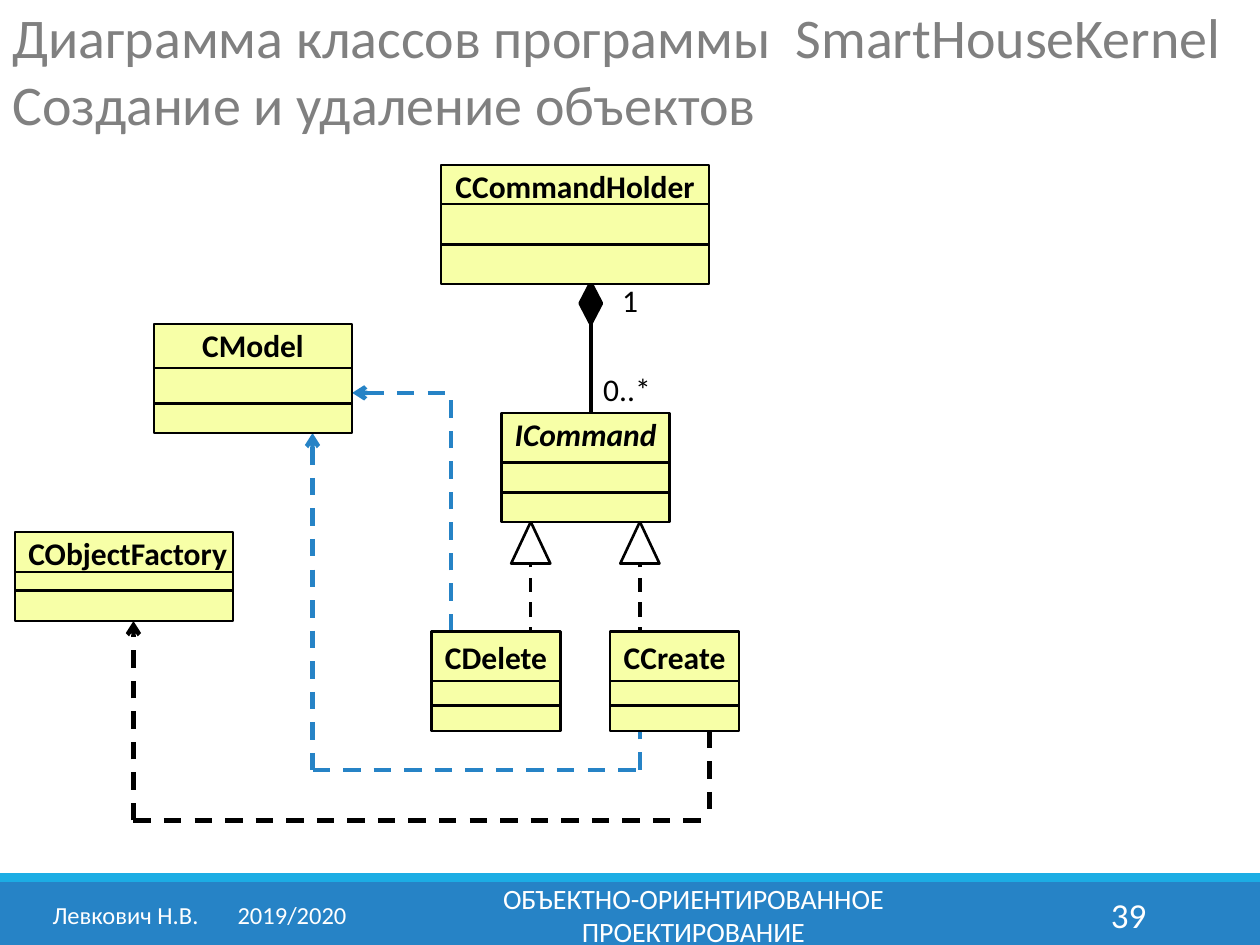
from lxml import etree
from pptx import Presentation
from pptx.dml.color import RGBColor
from pptx.enum import dml, shapes, text
from pptx.oxml.ns import qn
from pptx.util import Cm, Pt

COLORS = {"blue": "2683C6", "sky": "1CADE4", "black": "000000", "white": "FFFFFF",
          "gray": "808080", "yellow": "F7FFA7"}
COLORS = {name: RGBColor.from_string(value) for name, value in COLORS.items()}
LEFT, CENTER, RIGHT = text.PP_ALIGN.LEFT, text.PP_ALIGN.CENTER, text.PP_ALIGN.RIGHT
TOP, MIDDLE = text.MSO_ANCHOR.TOP, text.MSO_ANCHOR.MIDDLE
SHAPE = shapes.MSO_SHAPE

prs = Presentation()
prs.slide_width, prs.slide_height = Cm(25.4), Cm(19.05)
slide = prs.slides.add_slide(prs.slide_layouts[5])


def write(shape, words, size, color, align=LEFT, anchor=TOP, wrap=True, spacing=1.0, **font):
    frame = shape.text_frame
    frame.text = words
    frame_format = {"word_wrap": wrap, "vertical_anchor": anchor,
                    "auto_size": text.MSO_AUTO_SIZE.NONE,
                    "margin_left": Cm(0.25), "margin_right": Cm(0.25),
                    "margin_top": Cm(0.13), "margin_bottom": Cm(0.13)}
    for key, value in frame_format.items():
        setattr(frame, key, value)
    for paragraph in frame.paragraphs:
        paragraph.alignment = align
        paragraph.line_spacing = spacing
        for run in paragraph.runs:
            for key, value in {"name": "Calibri", "size": Pt(size), **font}.items():
                setattr(run.font, key, value)
            run.font.color.rgb = COLORS[color]


def draw_line(x1, y1, x2, y2, color="black", width=2.5, dashed=False, arrow=None):
    line = slide.shapes.add_connector(shapes.MSO_CONNECTOR.STRAIGHT,
                                      Cm(x1), Cm(y1), Cm(x2), Cm(y2))
    line.line.color.rgb = COLORS[color]
    line.line.width = Pt(width)
    if dashed:
        line.line.dash_style = dml.MSO_LINE.DASH
    if arrow:
        etree.SubElement(line.line._get_or_add_ln(), qn(f"a:{arrow}"), type="arrow")
    etree.SubElement(line._element.spPr, qn("a:effectLst"))
    return line


# Title
title = slide.shapes.title
title.left, title.top, title.width, title.height = Cm(0), Cm(-0.08), Cm(25.4), Cm(3)
write(title, "Диаграмма классов программы  SmartHouseKernel\nСоздание и удаление объектов",
      32, "gray")

# Footer bands
for top, height, color in [(17.78, 1.27, "blue"), (17.6, 0.18, "sky")]:
    band = slide.shapes.add_shape(SHAPE.RECTANGLE, Cm(0), Cm(top), Cm(25.4), Cm(height))
    band.shadow.inherit = False
    band.fill.solid()
    band.fill.fore_color.rgb = COLORS[color]
    band.line.fill.background()

# Footer texts
for left, width, words, size, align in [
    (0.81, 6.63, "Левкович Н.В.\t2019/2020", 14, LEFT),
    (7.67, 12.62, "ОБЪЕКТНО-ОРИЕНТИРОВАННОЕ ПРОЕКТИРОВАНИЕ", 16, CENTER),
    (20.62, 2.74, "39", 20, RIGHT),
]:
    footer = slide.shapes.add_textbox(Cm(left), Cm(17.93), Cm(width), Cm(1.02))
    write(footer, words, size, "white", align, MIDDLE)
    if "\t" in words:
        tabs = etree.SubElement(footer.text_frame.paragraphs[0]._p.get_or_add_pPr(),
                                qn("a:tabLst"))
        etree.SubElement(tabs, qn("a:tab"), pos=str(int(Cm(3.73))), algn="l")

# Composition and realization: stem, then its end symbol
for x, stem_bottom, top, dashed, symbol, width, height, color, outline in [
    (11.91, 8.53, 5.72, False, SHAPE.DIAMOND, 0.41, 0.79, "black", 2.5),
    (10.7, 13.92, 10.52, True, SHAPE.ISOSCELES_TRIANGLE, 0.79, 0.84, "white", 1.5),
    (12.9, 13.92, 10.52, True, SHAPE.ISOSCELES_TRIANGLE, 0.79, 0.84, "white", 1.5),
]:
    draw_line(x, stem_bottom, x, top, width=2, dashed=dashed)
    end = slide.shapes.add_shape(symbol, Cm(x - width / 2), Cm(top), Cm(width), Cm(height))
    end.shadow.inherit = False
    end.fill.solid()
    end.fill.fore_color.rgb = COLORS[color]
    end.line.color.rgb = COLORS["black"]
    end.line.width = Pt(outline)

# Multiplicities
for left, top, width, words in [(12.29, 5.54, 0.8, "1"), (11.91, 7.32, 1.8, "0..*")]:
    multiplicity = slide.shapes.add_textbox(Cm(left), Cm(top), Cm(width), Cm(1.02))
    write(multiplicity, words, 18, "black")

# Dependencies
for x1, y1, x2, y2, color, arrow in [
    (6.3, 15.52, 12.9, 15.52, "blue", None),
    (9.09, 12.73, 9.09, 7.92, "blue", None),
    (2.69, 16.54, 2.69, 12.52, "black", "tailEnd"),
    (14.3, 14.73, 14.3, 16.54, "black", None),
    (2.69, 16.54, 14.3, 16.54, "black", None),
    (6.3, 8.73, 6.3, 15.52, "blue", "headEnd"),
    (7.1, 7.92, 9.09, 7.92, "blue", "headEnd"),
    (12.9, 15.52, 12.9, 14.73, "blue", None),
]:
    draw_line(x1, y1, x2, y2, color, dashed=True, arrow=arrow)

# Classes: box with the name and two dividers
for name, left, top, width, height, dividers, spacing in [
    ("CCommandHolder", 8.89, 3.33, 5.41, 2.39, (4.11, 4.93), 0.9),
    ("ICommand", 10.11, 8.33, 3.39, 2.2, (9.32, 9.93), 0.9),
    ("CModel", 3.1, 6.53, 4, 2.2, (7.42, 8.13), 0.9),
    ("CObjectFactory", 0.3, 10.72, 4.4, 1.8, (11.53, 11.91), 0.9),
    ("CCreate", 12.3, 12.73, 2.6, 2, (13.73, 14.22), 1.0),
    ("CDelete", 8.7, 12.73, 2.6, 2, (13.73, 14.22), 1.0),
]:
    box = slide.shapes.add_shape(SHAPE.RECTANGLE, Cm(left), Cm(top), Cm(width), Cm(height))
    box.shadow.inherit = False
    box.fill.solid()
    box.fill.fore_color.rgb = COLORS["yellow"]
    box.line.color.rgb = COLORS["black"]
    box.line.width = Pt(1.25)
    write(box, name, 18, "black", CENTER, wrap=False, spacing=spacing,
          bold=True, italic=name.startswith("I"))
    if name == "CObjectFactory":
        box.text_frame.margin_right = Cm(0.1)
    for y in dividers:
        divider = draw_line(left, y, left + width, y, width=1.5)
        if abs(y - top - height / 2) < 0.01:
            divider.begin_connect(box, 1)
            divider.end_connect(box, 3)

prs.save("out.pptx")
